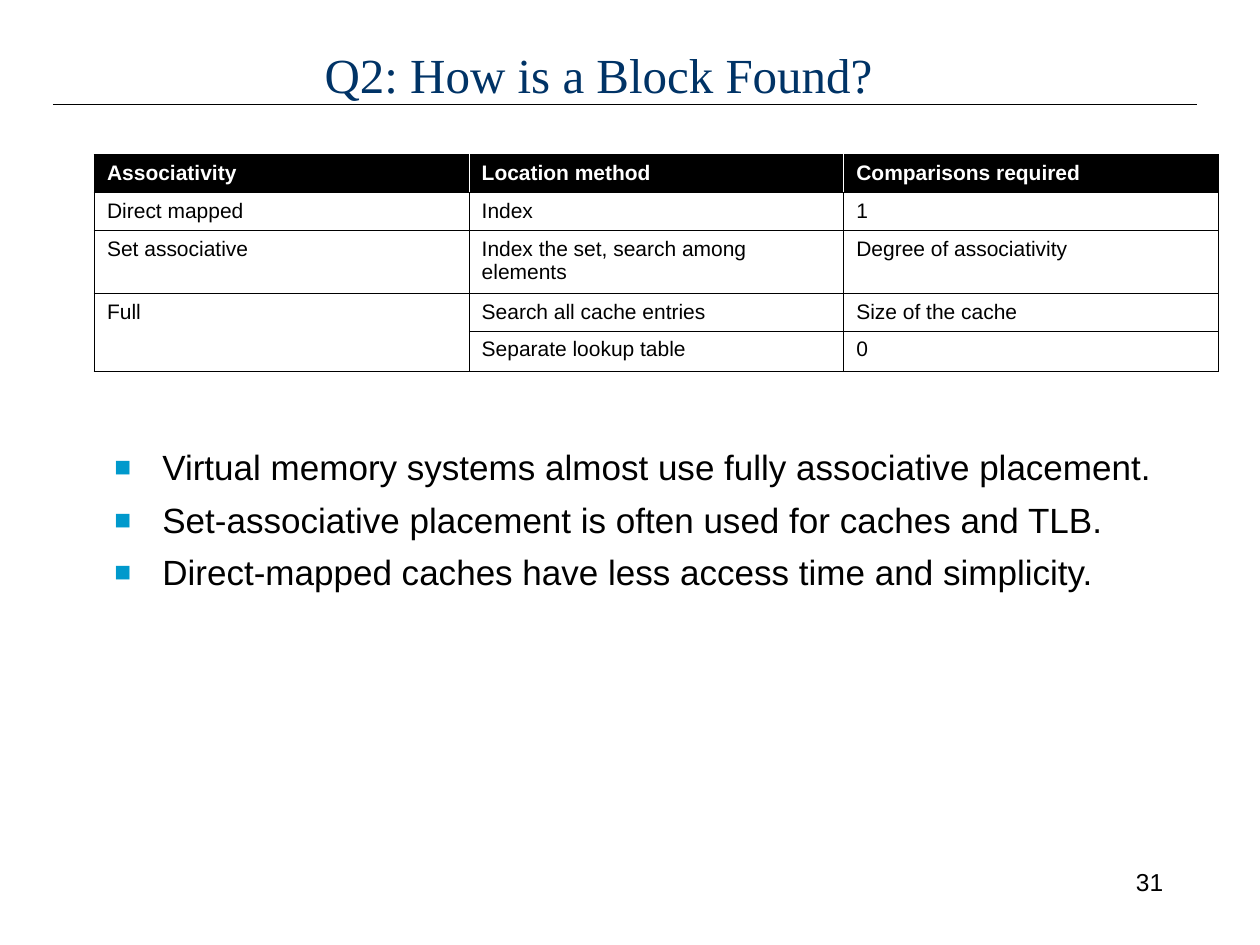
from lxml.etree import SubElement
from pptx import Presentation
from pptx.dml.color import RGBColor
from pptx.enum.shapes import MSO_CONNECTOR
from pptx.enum.text import MSO_ANCHOR, PP_ALIGN
from pptx.oxml.ns import qn
from pptx.util import Inches, Pt

BLACK, WHITE, NAVY, CYAN = "000000", "FFFFFF", "003366", "0099CC"
THIN, THICK = 0.45, 1.08

ROWS = [
    ["Associativity", "Location method", "Comparisons required"],
    ["Direct mapped", "Index", "1"],
    ["Set associative", "Index the set, search among elements",
     "Degree of associativity"],
    ["Full", "Search all cache entries", "Size of the cache"],
    ["", "Separate lookup table", "0"],
]
ROW_HEIGHTS = [0.3, 0.3, 0.5, 0.3, 0.32]
BULLETS = [
    "Virtual memory systems almost use fully associative placement.",
    "Set-associative placement is often used for caches and TLB.",
    "Direct-mapped caches have less access time and simplicity.",
]


def color(value):
    return RGBColor.from_string(value)


def style(para, size, value, name="Arial", bold=False):
    font = para.font
    font.size, font.name, font.bold = Pt(size), name, bold
    font.color.rgb = color(value)


def add_box(page, left, top, width, height):
    box = page.shapes.add_textbox(
        Inches(left), Inches(top), Inches(width), Inches(height))
    box.text_frame.word_wrap = True
    return box.text_frame


def add_title(page, left, top, width, height):
    rule = page.shapes.add_connector(
        MSO_CONNECTOR.STRAIGHT, Inches(left - 0.08), Inches(top + 0.66),
        Inches(left + width + 0.5), Inches(top + 0.66))
    rule.line.color.rgb = color(BLACK)
    rule.line.width = Pt(0.75)
    SubElement(rule._element.spPr, qn("a:effectLst"))

    frame = add_box(page, left, top, width, height)
    frame.vertical_anchor = MSO_ANCHOR.MIDDLE
    para = frame.paragraphs[0]
    para.text = "Q2: How is a Block Found?"
    para.alignment = PP_ALIGN.CENTER
    style(para, 28, NAVY, "Times New Roman")


def set_borders(cell, borders):
    """Draw the borders, given as side: (colour, points) in the order L, R, T, B."""
    properties = cell._tc.get_or_add_tcPr()
    for side, (value, points) in borders.items():
        line = SubElement(properties, qn(f"a:ln{side}"), w=str(Pt(points)))
        fill = SubElement(line, qn("a:solidFill"))
        SubElement(fill, qn("a:srgbClr"), val=value)


def add_table(page, left, top, width):
    columns = len(ROWS[0])
    table = page.shapes.add_table(
        len(ROWS), columns, Inches(left), Inches(top), Inches(width),
        Inches(sum(ROW_HEIGHTS))).table
    table.first_row = table.horz_banding = False
    for column in table.columns:
        column.width = Inches(width / columns)
    for r, (texts, height) in enumerate(zip(ROWS, ROW_HEIGHTS)):
        table.rows[r].height = Inches(height)
        header = r == 0
        inner = (WHITE if header else BLACK, THIN)
        for c, text in enumerate(texts):
            cell = table.cell(r, c)
            set_borders(cell, {
                "L": (BLACK, THICK) if c == 0 else inner,
                "R": (BLACK, THICK) if c == columns - 1 else inner,
                "T": (BLACK, THICK if header else THIN),
                "B": (BLACK, THIN),
            })
            if header:
                cell.fill.solid()
                cell.fill.fore_color.rgb = color(BLACK)
            else:
                cell.fill.background()
            para = cell.text_frame.paragraphs[0]
            para.text = text
            style(para, 12, WHITE if header else BLACK, bold=header)
    table.cell(3, 0).merge(table.cell(4, 0))


def add_bullet(para):
    properties = para._p.get_or_add_pPr()
    properties.set("marL", str(Inches(0.38)))
    properties.set("indent", str(Inches(-0.38)))
    bullet_color = SubElement(properties, qn("a:buClr"))
    SubElement(bullet_color, qn("a:srgbClr"), val=CYAN)
    SubElement(properties, qn("a:buSzPct"), val="80000")
    SubElement(properties, qn("a:buFont"), typeface="Arial")
    SubElement(properties, qn("a:buChar"), char="■")


def add_bullets(page, left, top, width, height):
    frame = add_box(page, left, top, width, height)
    for i, text in enumerate(BULLETS):
        para = frame.add_paragraph() if i else frame.paragraphs[0]
        para.text = text
        if i:
            para.space_before = Pt(6)
        add_bullet(para)
        style(para, 20, BLACK)


def add_page_number(page, left, top, width, height):
    para = add_box(page, left, top, width, height).paragraphs[0]
    para.text = "31"
    para.alignment = PP_ALIGN.RIGHT
    style(para, 14, BLACK)


def main():
    deck = Presentation()
    deck.slide_width, deck.slide_height = Inches(10), Inches(7.5)
    page = deck.slides.add_slide(deck.slide_layouts[6])
    add_title(page, 0.5, 0.17, 8.5, 0.83)
    add_table(page, 0.75, 1.23, 8.92)
    add_bullets(page, 0.81, 3.49, 8.92, 3.34)
    add_page_number(page, 7.25, 6.83, 2.08, 0.5)
    deck.save("out.pptx")


if __name__ == "__main__":
    main()
